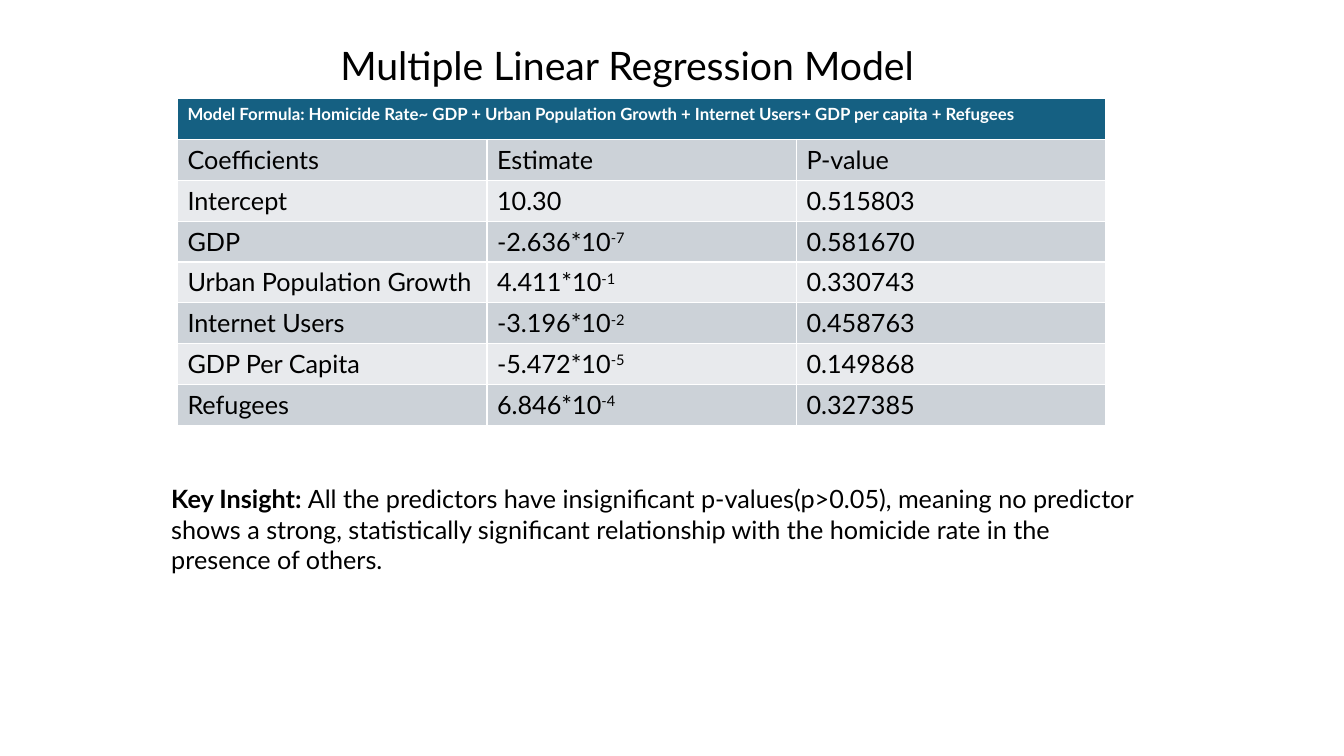
"""Slide with the coefficients of a multiple linear regression model."""
from pptx import Presentation
from pptx import util as u
from pptx.dml.color import RGBColor
from pptx.enum import text

PX = 9144
BLACK = RGBColor(0x00, 0x00, 0x00)
WHITE = RGBColor(0xFF, 0xFF, 0xFF)
TEAL = RGBColor(0x15, 0x60, 0x82)
DARK = RGBColor(0xCC, 0xD2, 0xD8)
LIGHT = RGBColor(0xE8, 0xEA, 0xED)


def style(para, size, color=BLACK, bold=False):
    for run in para.runs:
        run.font.name = "Lato"
        run.font.size = u.Pt(size)
        run.font.color.rgb = color
        run.font.bold = bold


def add_text(left, top, width, height, words):
    box = slide.shapes.add_textbox(left * PX, top * PX, width * PX, height * PX)
    box.text_frame.word_wrap = True
    box.text_frame.text = words
    return box.text_frame.paragraphs[0]


deck = Presentation()
deck.slide_width = 1333 * PX
deck.slide_height = 750 * PX
slide = deck.slides.add_slide(deck.slide_layouts[6])

title = add_text(47, 41, 1150, 476, "Multiple Linear Regression Model")
title.alignment = text.PP_ALIGN.CENTER
title.line_spacing = 0.9
title.space_before = u.Pt(10)
style(title, 28)

rows = [
    ("Coefficients", "Estimate", "", "P-value"),
    ("Intercept", "10.30", "", "0.515803"),
    ("GDP", "-2.636*10", "-7", "0.581670"),
    ("Urban Population Growth", "4.411*10", "-1", "0.330743"),
    ("Internet Users", "-3.196*10", "-2", "0.458763"),
    ("GDP Per Capita", "-5.472*10", "-5", "0.149868"),
    ("Refugees", "6.846*10", "-4", "0.327385"),
]
count = len(rows) + 1
table = slide.shapes.add_table(count, 3, 176 * PX, 98 * PX, 921 * PX, 324 * PX).table

head = table.cell(0, 0)
head.merge(table.cell(0, 2))
head.text_frame.text = (
    "Model Formula: Homicide Rate~ GDP + Urban Population Growth"
    " + Internet Users+ GDP per capita + Refugees"
)
head.fill.solid()
head.fill.fore_color.rgb = TEAL
style(head.text_frame.paragraphs[0], 12, WHITE, True)

for r, (name, value, power, prob) in enumerate(rows, 1):
    for c, words in enumerate((name, value, prob)):
        cell = table.cell(r, c)
        cell.fill.solid()
        cell.fill.fore_color.rgb = DARK if r % 2 else LIGHT
        cell.text_frame.text = words
        para = cell.text_frame.paragraphs[0]
        if c == 1 and power:
            raised = para.add_run()
            raised.text = power
            raised.font._element.set("baseline", "30000")
        style(para, 18)

note = add_text(160, 475, 995, 101, "Key Insight: ")
note.add_run().text = (
    "All the predictors have insignificant p-values(p>0.05), meaning no predictor "
    "shows a strong, statistically significant relationship with the homicide rate "
    "in the presence of others."
)
style(note, 18)
note.runs[0].font.bold = True

deck.save("out.pptx")
